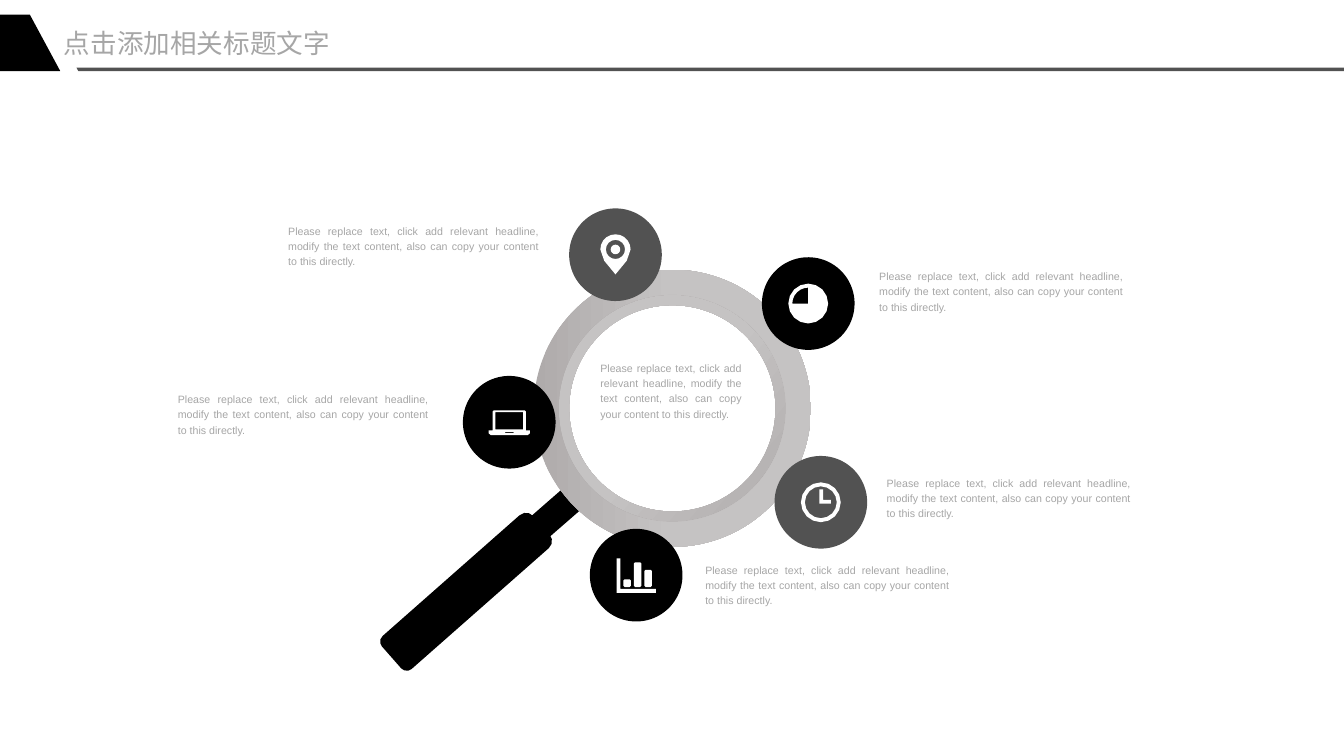
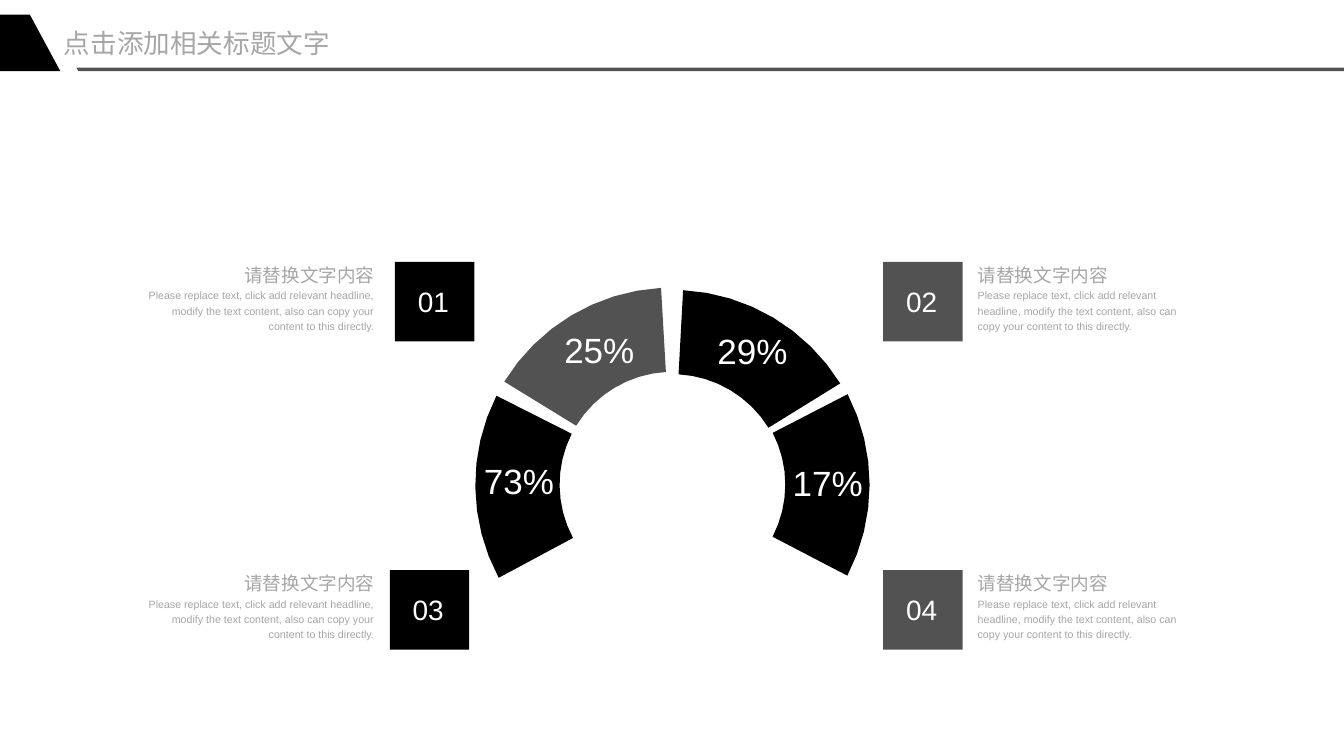
from math import cos, radians, sin

from pptx import Presentation
from pptx.dml.color import RGBColor
from pptx.enum.shapes import MSO_SHAPE
from pptx.enum.text import MSO_ANCHOR, PP_ALIGN
from pptx.util import Pt

SLIDE_WIDTH = 1012.3
SLIDE_HEIGHT = 569.5
BLACK = "000000"
CHARCOAL = "525252"
WHITE = "FFFFFF"
TEXT_GRAY = "A6A6A6"
RING_DARK = "AFABAB"
RING_LIGHT = "C5C3C3"
FONT = "Arial"

TITLE = "点击添加相关标题文字"
HEADING = "请替换文字内容"
BODY = (
    "Please replace text, click add relevant headline, modify the text "
    "content, also can copy your content to this directly."
)
DISC = 69.8


def arc(center_x, center_y, radius, start, end, steps):
    angles = [radians(start + (end - start) * step / steps) for step in range(steps + 1)]
    return [(center_x + radius * cos(angle), center_y + radius * sin(angle))
            for angle in angles]


def circle(center_y, radius):
    return arc(0, center_y, radius, 0, 337.5, 15)


def bar(left, top, width, height, cut=0.0):
    right, bottom = left + width, top + height
    if not cut:
        return [(left, top), (right, top), (right, bottom), (left, bottom)]
    return [
        (left + cut, top), (right - cut, top), (right, top + cut), (right, bottom - cut),
        (right - cut, bottom), (left + cut, bottom), (left, bottom - cut), (left, top + cut),
    ]


ICONS = {
    "bars": [
        [(-14.8, -12.6), (-11.9, -12.6), (-11.9, 10.4), (14.8, 10.4),
         (14.8, 13.3), (-14.8, 13.3)],
        bar(-9.7, 3.2, 5.8, 5.8, 1),
        bar(-1.8, -9.7, 5.8, 18.7, 1),
        bar(6.1, -4, 5.8, 13, 1),
    ],
    "pie": [circle(0, 15), [(0, 0)] + arc(0, 0, 12, 180, 270, 6)],
    "clock": [
        circle(0, 15),
        circle(0, 12),
        [(-1.1, -9.7), (1.8, -9.7), (1.8, -1.8), (7.5, -1.8), (7.5, 1.1), (-1.1, 1.1)],
    ],
    "pin": [
        arc(0, -4, 11.4, 180, 360, 10) + [(8.5, 4.5), (0, 14.8), (-8.5, 4.5)],
        circle(-4, 7.2),
        circle(-4, 3.6),
    ],
    "laptop": [
        [(-15.5, 6.1), (-12.6, 6.1), (-12.6, -8), (-11.5, -9), (11.5, -9), (12.6, -8),
         (12.6, 6.1), (15.5, 6.1), (15.5, 8.3), (14, 9.7), (-14, 9.7), (-15.5, 8.3)],
        bar(-10.4, -7.5, 20.8, 13),
        bar(-3.2, 7.5, 6.5, 0.8),
    ],
}


def color(value):
    return RGBColor.from_string(value)


def paint(shape, fill):
    shape.shadow.inherit = False
    shape.line.fill.background()
    if fill is None:
        shape.fill.background()
    else:
        shape.fill.solid()
        shape.fill.fore_color.rgb = color(fill)


def add_figure(slide, kind, box, fill, adjustments=(), rotation=0):
    shape = slide.shapes.add_shape(kind, *(Pt(length) for length in box))
    for index, value in enumerate(adjustments):
        shape.adjustments[index] = value
    shape.rotation = rotation
    paint(shape, fill)
    return shape


def add_outline(slide, contours, fill, left=0, top=0):
    builder = None
    for contour in contours:
        corners = [(Pt(left + x), Pt(top + y)) for x, y in contour]
        if builder is None:
            builder = slide.shapes.build_freeform(*corners[0])
        else:
            builder.move_to(*corners[0])
        builder.add_line_segments(corners[1:], close=True)
    paint(builder.convert_to_shape(), fill)


def write(shape, text, size, fill, alignment, anchor=MSO_ANCHOR.TOP, spacing=1.2):
    frame = shape.text_frame
    frame.text = text
    frame.word_wrap = True
    frame.vertical_anchor = anchor
    frame.margin_left = frame.margin_right = 0
    frame.margin_top = frame.margin_bottom = 0
    paragraph = frame.paragraphs[0]
    paragraph.alignment = alignment
    paragraph.line_spacing = spacing
    font = paragraph.runs[0].font
    font.name = FONT
    font.size = Pt(size)
    font.color.rgb = color(fill)


def add_text(slide, box, *style):
    write(slide.shapes.add_textbox(*(Pt(length) for length in box)), *style)


def add_titled_slide(presentation):
    slide = presentation.slides.add_slide(presentation.slide_layouts[5])
    line_top, line_bottom = 50.9, 53.5
    rule = [(57.6, line_top), (SLIDE_WIDTH, line_top),
            (SLIDE_WIDTH, line_bottom), (59, line_bottom)]
    add_outline(slide, [rule], CHARCOAL)
    tab = [(22.5, 11), (45.4, line_bottom), (0, line_bottom), (0, 11)]
    add_outline(slide, [tab], BLACK)
    title = slide.shapes.title
    title.left, title.top = Pt(48.2), Pt(20.2)
    title.width, title.height = Pt(241), Pt(24.5)
    write(title, TITLE, 20, TEXT_GRAY, PP_ALIGN.LEFT, MSO_ANCHOR.TOP, 1.0)
    return slide


def add_ring(slide, center_x, center_y, diameter, thickness, angle):
    box = (center_x - diameter / 2, center_y - diameter / 2, diameter, diameter)
    ring = add_figure(slide, MSO_SHAPE.DONUT, box, RING_LIGHT, [thickness])
    ring.fill.gradient()
    ring.fill.gradient_angle = angle
    stops = zip(ring.fill.gradient_stops, (RING_DARK, RING_LIGHT), (0, 0.5))
    for stop, shade, position in stops:
        stop.color.rgb = color(shade)
        stop.position = position


def add_magnifier(slide, center_x, center_y):
    neck = [(-201.8, 185.5), (-206, 182.6), (-206, 168.4), (-83, 60.9), (-75.5, 58.4),
            (-68, 61.7), (-65.5, 69), (-69.4, 76.8), (-191.8, 183.3)]
    add_outline(slide, [neck], BLACK, center_x, center_y)
    grip = (center_x - 171.6, center_y + 62.6, 33.1, 150.5)
    add_figure(slide, MSO_SHAPE.ROUND_2_SAME_RECTANGLE, grip, BLACK, [0.17, 0.22], 228.6)
    add_ring(slide, center_x, center_y, 180.7, 0.07, 140)
    add_ring(slide, center_x, center_y, 208.8, 0.09, 0)
    caption = (center_x - 54.2, center_y - 36.9, 106.6, 45.4)
    add_text(slide, caption, BODY, 8, TEXT_GRAY, PP_ALIGN.JUSTIFY)


def add_icon_disc(slide, icon, center_x, center_y, fill):
    box = (center_x - DISC / 2, center_y - DISC / 2, DISC, DISC)
    add_figure(slide, MSO_SHAPE.OVAL, box, fill, rotation=338.3)
    add_outline(slide, ICONS[icon], WHITE, center_x, center_y)


def build_magnifier_slide(presentation):
    slide = add_titled_slide(presentation)
    add_magnifier(slide, 506.4, 307.6)
    topics = [
        ("bars", 479.2, 433.3, BLACK, 531.2, 422.6, 184),
        ("pie", 608.8, 228.7, BLACK, 662.2, 201.6, 184),
        ("clock", 618.3, 378.4, CHARCOAL, 667.9, 357.1, 184),
        ("pin", 463.6, 191.9, CHARCOAL, 217.1, 167.3, 189),
        ("laptop", 383.6, 318.1, BLACK, 134, 294.2, 189),
    ]
    for icon, center_x, center_y, fill, left, top, width in topics:
        add_icon_disc(slide, icon, center_x, center_y, fill)
        add_text(slide, (left, top, width, 33.8), BODY, 8, TEXT_GRAY, PP_ALIGN.JUSTIFY)


def add_gauge(slide, center_x, center_y):
    segments = [
        ("25%", 211.5, 266.7, 0, CHARCOAL, -88.2, -111.3),
        ("17%", 332.7, 387.5, 0, BLACK, 83.8, -10.8),
        ("29%", 273.1, 328.3, 1.8, BLACK, 27.2, -110.8),
        ("73%", 151.8, 206.8, 0, BLACK, -148.7, -12.2),
    ]
    for _, start, end, drop, fill, _, _ in segments:
        outer = arc(0, drop, 148.5, start, end, 8)
        inner = arc(0, drop, 85, end, start, 8)
        add_outline(slide, [outer + inner], fill, center_x, center_y)
    for label, _, _, _, _, left, top in segments:
        box = (center_x + left, center_y + top, 66.2, 25.2)
        shape = add_figure(slide, MSO_SHAPE.RECTANGLE, box, None)
        write(shape, label, 26.4, WHITE, PP_ALIGN.CENTER, MSO_ANCHOR.BOTTOM)


def add_numbered_card(slide, number, square_left, top, fill, heading, body, alignment):
    heading_left, heading_width = heading
    body_left, body_width = body
    add_text(slide, (heading_left, top - 5.8, heading_width, 28),
             HEADING, 14, TEXT_GRAY, alignment, MSO_ANCHOR.MIDDLE)
    add_text(slide, (body_left, top + 18.7, body_width, 48),
             BODY, 8, TEXT_GRAY, alignment)
    square = (square_left, top, 59.8, 59.8)
    add_figure(slide, MSO_SHAPE.ROUNDED_RECTANGLE, square, fill, [0])
    add_text(slide, (square_left + 4.9, top + 7.2, 48.2, 39.6),
             number, 21.1, WHITE, PP_ALIGN.CENTER, MSO_ANCHOR.MIDDLE)


def build_gauge_slide(presentation):
    slide = add_titled_slide(presentation)
    add_gauge(slide, 506.5, 365.1)
    left_texts = ((174.2, 108), (111.8, 170), PP_ALIGN.RIGHT)
    right_texts = ((736.4, 110), (736.4, 161.3), PP_ALIGN.LEFT)
    upper, lower = 197.3, 429.6
    cards = [
        ("01", 297.5, upper, BLACK, *left_texts),
        ("02", 665.3, upper, CHARCOAL, *right_texts),
        ("03", 293.6, lower, BLACK, *left_texts),
        ("04", 665.3, lower, CHARCOAL, *right_texts),
    ]
    for card in cards:
        add_numbered_card(slide, *card)


def main():
    presentation = Presentation()
    presentation.slide_width = Pt(SLIDE_WIDTH)
    presentation.slide_height = Pt(SLIDE_HEIGHT)
    build_magnifier_slide(presentation)
    build_gauge_slide(presentation)
    presentation.save("out.pptx")


if __name__ == "__main__":
    main()
